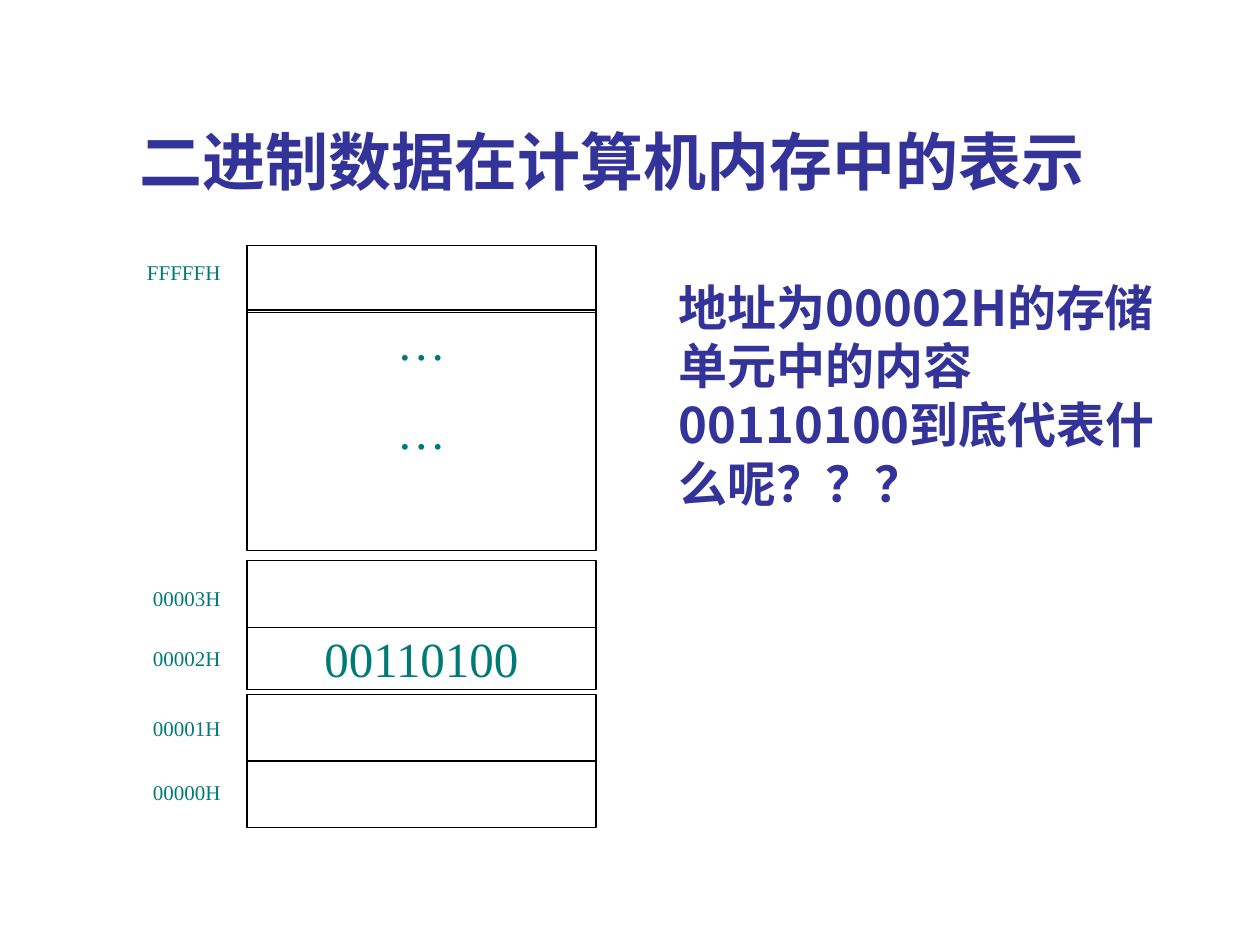
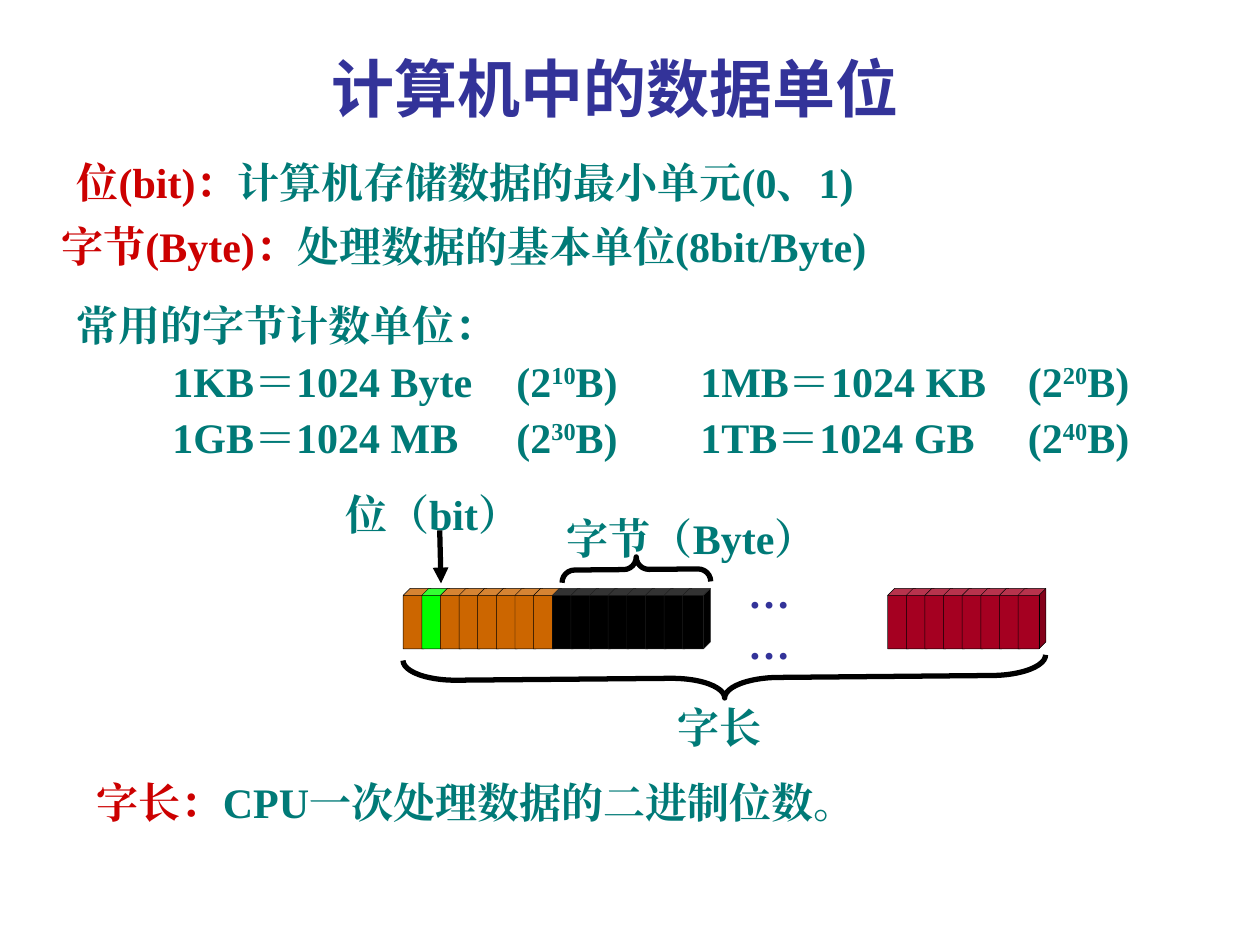
from lxml import etree
from pptx import Presentation
from pptx.dml.color import RGBColor
from pptx.enum.shapes import MSO_CONNECTOR as Connector, MSO_SHAPE as Shape
from pptx.enum.text import MSO_ANCHOR as Anchor, PP_ALIGN as Align
from pptx.oxml.ns import qn
from pptx.util import Inches, Pt

INDIGO = RGBColor(0x33, 0x33, 0x99)
TEAL = RGBColor(0x00, 0x7A, 0x77)
RED = RGBColor(0xCC, 0x00, 0x00)
BLACK = RGBColor(0x00, 0x00, 0x00)
CHARCOAL = RGBColor(0x1C, 0x1C, 0x1C)
ORANGE = RGBColor(0xCC, 0x66, 0x00)
GREEN = RGBColor(0x00, 0xFF, 0x00)
CRIMSON = RGBColor(0xA5, 0x00, 0x21)

SERIF = "Times New Roman"
SANS = "Noto Sans CJK SC"
TITLE_FACE = "Roboto"
WIDE_INSETS = (0.1, 0.05)
TIGHT_INSETS = (0, 0.01)


def write(shape, lines, size=24, face=SERIF, colour=TEAL, bold=True, align=Align.LEFT,
          anchor=Anchor.TOP, insets=WIDE_INSETS, wrap=True, gap=0, spacing=None, tabs=()):
    frame = shape.text_frame
    frame.word_wrap = wrap
    frame.vertical_anchor = anchor
    frame.margin_left = frame.margin_right = Inches(insets[0])
    frame.margin_top = frame.margin_bottom = Inches(insets[1])
    for index, spans in enumerate(lines):
        para = frame.add_paragraph() if index else frame.paragraphs[0]
        para.alignment = align
        if index:
            para.space_before = Pt(gap)
        if spacing:
            para.line_spacing = spacing
        if tabs:
            stops = etree.SubElement(para._p.get_or_add_pPr(), qn("a:tabLst"))
            for stop in tabs:
                etree.SubElement(stops, qn("a:tab"), pos=str(Inches(stop)), algn="l")
        font = para.font
        font.name, font.size, font.bold = face, Pt(size), bold
        font.color.rgb = colour
        etree.SubElement(para._p.pPr.find(qn("a:defRPr")), qn("a:ea"), typeface=face)
        for text in spans:
            para.add_run().text = text
    return frame.paragraphs


def add_text(page, box, lines, **style):
    shape = page.shapes.add_textbox(*map(Inches, box))
    return write(shape, lines, **style)


def add_figure(page, kind, box, line, width, fill=None):
    shape = page.shapes.add_shape(kind, *map(Inches, box))
    shape.shadow.inherit = False
    if fill is None:
        shape.fill.background()
    else:
        shape.fill.solid()
        shape.fill.fore_color.rgb = fill
    shape.line.color.rgb = line
    shape.line.width = Pt(width)
    return shape


def add_title(page, box, text):
    add_text(page, box, [[text]], size=36, face=TITLE_FACE, colour=INDIGO,
             align=Align.CENTER, anchor=Anchor.MIDDLE, spacing=1.3)


def add_term(page, box, term, meaning, **style):
    para = add_text(page, box, [[term, meaning]], **style)[0]
    para.runs[0].font.color.rgb = RED


def add_memory(page, left, top):
    cell_left, cell_width, cell_height, low_top = left + 1.59, 2.77, 0.53, top + 2.5
    cell_style = dict(size=28, bold=False, align=Align.CENTER, insets=TIGHT_INSETS, gap=17.5)

    def add_cell(cell_top, height=cell_height):
        return add_figure(page, Shape.RECTANGLE, (cell_left, cell_top, cell_width, height),
                          BLACK, 0.75)

    add_cell(top)
    write(add_cell(top + 0.51, 1.91), [["…"], ["…"]], **cell_style)
    for row in (0, 2, 3):
        add_cell(low_top + row * cell_height)
    write(add_cell(low_top + cell_height, 0.49), [["00110100"]], **cell_style)

    addresses = {"FFFFFH": 0.1, "00003H": 2.69, "00002H": 3.16, "00001H": 3.72, "00000H": 4.23}
    for address, offset in addresses.items():
        add_text(page, (left, top + offset, 1.38, 0.22), [[address]], size=12, bold=False,
                 align=Align.RIGHT, insets=TIGHT_INSETS)


def add_units(page, box):
    lines = [
        ["常用的字节计数单位："],
        ["\t1KB＝1024 Byte\t(2", "10", "B)\t1MB＝1024 KB\t(2", "20", "B)"],
        ["\t1GB＝1024 MB\t(2", "30", "B)\t1TB＝1024 GB\t(2", "40", "B)"],
    ]
    for para in add_text(page, box, lines, gap=3, tabs=(0.76, 3.49, 4.95, 7.55)):
        for exponent in para.runs[1::2]:
            exponent._r.get_or_add_rPr().set("baseline", "30000")


def add_brace(page, box, rotation, curve):
    brace = add_figure(page, Shape.LEFT_BRACE, box, BLACK, 3)
    brace.rotation = rotation
    brace.adjustments[0] = curve


def add_arrow(page, start, end):
    arrow = page.shapes.add_connector(Connector.STRAIGHT, *map(Inches, start + end))
    arrow.line.color.rgb = BLACK
    arrow.line.width = Pt(3)
    etree.SubElement(arrow.line._get_or_add_ln(), qn("a:tailEnd"), type="triangle")
    etree.SubElement(arrow._element.spPr, qn("a:effectLst"))


def add_word_diagram(page, left, top):
    bit_step = 4.88 / 33
    byte_groups = ((0, ORANGE, BLACK), (8, BLACK, CHARCOAL), (26, CRIMSON, BLACK))
    for first, fill, line in byte_groups:
        for bit in range(first, first + 8):
            add_figure(page, Shape.CUBE, (left + bit * bit_step, top, 0.22, 0.48), line, 0.25,
                       GREEN if bit == 1 else fill)

    label = dict(anchor=Anchor.MIDDLE)
    add_text(page, (left + 2.64, top - 0.02, 0.86, 0.5), [["……"]], colour=INDIGO,
             wrap=False, **label)
    add_text(page, (left - 0.56, top - 0.84, 1.75, 0.5), [["位（bit）"]], wrap=False, **label)
    add_arrow(page, (left + 0.29, top - 0.46), (left + 0.3, top - 0.04))
    add_brace(page, (left + 2.39, top - 1.84, 0.32, 5.1), 269.5, 1.33)
    add_text(page, (left + 2.08, top + 0.85, 0.96, 0.5), [["字长"]], **label)
    add_brace(page, (left + 1.75, top - 0.74, 0.2, 1.18), 89.5, 0.5)
    add_text(page, (left + 1.2, top - 0.65, 2.62, 0.5), [["字节（Byte）"]], **label)


def build_memory_slide(page):
    add_title(page, (0.23, 0.41, 9.26, 1.54), "二进制数据在计算机内存中的表示")
    add_memory(page, 0.37, 1.95)
    add_text(page, (5.29, 2.15, 4.11, 1.97),
             [["地址为00002H的存储单元中的内容00110100到底代表什么呢？？？"]],
             size=28, face=SANS, colour=INDIGO)


def build_units_slide(page):
    add_title(page, (0.25, 0.21, 9.26, 0.78), "计算机中的数据单位")
    add_term(page, (0.51, 1.11, 8.58, 0.58), "位(bit)：", "计算机存储数据的最小单元(0、1)",
             anchor=Anchor.MIDDLE, spacing=1.2)
    add_term(page, (0.39, 1.7, 6.83, 0.5), "字节(Byte)：", "处理数据的基本单位(8bit/Byte)",
             wrap=False)
    add_units(page, (0.51, 2.33, 9.15, 1.39))
    add_word_diagram(page, 3.2, 4.67)
    add_term(page, (0.67, 6.11, 6.38, 0.5), "字长：", "CPU一次处理数据的二进制位数。",
             wrap=False)


def main():
    deck = Presentation()
    deck.slide_width, deck.slide_height = Inches(10), Inches(7.5)
    for build in (build_memory_slide, build_units_slide):
        build(deck.slides.add_slide(deck.slide_layouts[6]))
    deck.save("out.pptx")


if __name__ == "__main__":
    main()
